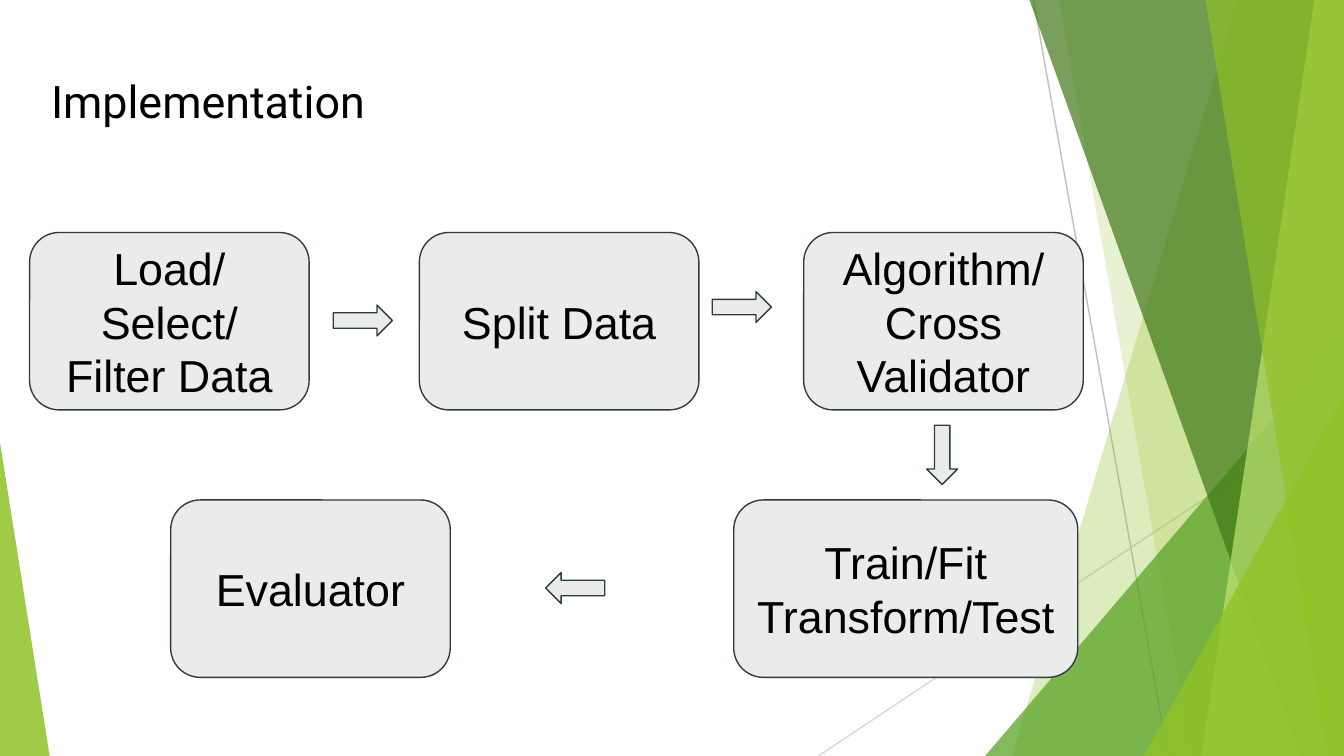
from dataclasses import dataclass

from lxml import etree
from pptx import Presentation
from pptx.dml.color import RGBColor
from pptx.enum.shapes import MSO_CONNECTOR, MSO_SHAPE
from pptx.enum.text import MSO_ANCHOR, PP_ALIGN
from pptx.oxml.ns import qn
from pptx.util import Inches, Pt

STRAIGHT = MSO_CONNECTOR.STRAIGHT
TRIANGLE = MSO_SHAPE.ISOSCELES_TRIANGLE
ROUNDED = MSO_SHAPE.ROUNDED_RECTANGLE
ARROW = MSO_SHAPE.RIGHT_ARROW
LEFT, CENTER = PP_ALIGN.LEFT, PP_ALIGN.CENTER
TOP, MIDDLE = MSO_ANCHOR.TOP, MSO_ANCHOR.MIDDLE


@dataclass(frozen=True)
class Theme:
    text: str = "000000"
    step: str = "EBEBEB"
    outline: str = "2C3C43"
    line_dark: str = "BFBFBF"
    line_light: str = "D8D8D8"
    lime: str = "90C226"
    pale: str = "BFE471"
    green: str = "54A021"
    forest: str = "3F7818"
    title_font: str = "Roboto"
    body_font: str = "Arial"
    size: int = 24
    line_width: float = 0.75
    inset: float = 0.1


THEME = Theme()
WIDTH = 10
HEIGHT = WIDTH * 9 / 16


def inches(*lengths):
    return [Inches(length) for length in lengths]


def paint(shape, color, alpha=None, outline=None):
    """Fill a shape, with optional opacity in percent and outline."""
    shape.shadow.inherit = False
    shape.fill.solid()
    shape.fill.fore_color.rgb = RGBColor.from_string(color)
    if alpha is not None:
        tint = shape._element.spPr.find(".//" + qn("a:srgbClr"))
        etree.SubElement(tint, qn("a:alpha")).set("val", str(alpha * 1000))
    if outline:
        shape.line.color.rgb = RGBColor.from_string(outline)
        shape.line.width = Pt(THEME.line_width)
    else:
        shape.line.fill.background()


def write(shape, text, font, align, anchor):
    frame = shape.text_frame
    frame.text = text
    frame.word_wrap = True
    frame.vertical_anchor = anchor
    frame.margin_left = frame.margin_right = Inches(THEME.inset)
    frame.margin_top = frame.margin_bottom = Inches(THEME.inset)
    for para in frame.paragraphs:
        para.alignment = align
        for span in para.runs:
            span.font.name = font
            span.font.size = Pt(THEME.size)
            span.font.color.rgb = RGBColor.from_string(THEME.text)


def add_line(page, start, end, color):
    line = page.shapes.add_connector(STRAIGHT, *inches(*start, *end))
    line.line.color.rgb = RGBColor.from_string(color)
    line.line.width = Pt(THEME.line_width)
    etree.SubElement(line._element.spPr, qn("a:effectLst"))


def add_facet(page, top_left, bottom_left, color, alpha):
    """A full-height panel from a slanted left edge to the slide's right edge."""
    corners = [(WIDTH, 0), (WIDTH, HEIGHT), (bottom_left, HEIGHT)]
    builder = page.shapes.build_freeform(Inches(top_left), 0)
    builder.add_line_segments([inches(*corner) for corner in corners])
    paint(builder.convert_to_shape(), color, alpha)


def add_corner(page, left, top, width, apex, color, alpha):
    """A right triangle standing on the bottom edge of the slide."""
    corner = page.shapes.add_shape(
        TRIANGLE, *inches(left, top, width, HEIGHT - top))
    corner.adjustments[0] = apex
    paint(corner, color, alpha)


def add_backdrop(page):
    add_line(page, (7.69, 0), (8.69, HEIGHT), THEME.line_dark)
    add_line(page, (WIDTH, 3.02), (6.09, HEIGHT), THEME.line_light)
    add_facet(page, 9.21, 7.53, THEME.lime, 30)
    add_facet(page, 7.88, 8.87, THEME.lime, 20)
    add_corner(page, 7.33, 2.5, 2.67, 1, THEME.green, 72)
    add_facet(page, 7.66, 9.68, THEME.forest, 70)
    add_facet(page, 9.78, 8.94, THEME.pale, 70)
    add_facet(page, 8.97, 9.88, THEME.lime, 65)
    add_corner(page, 8.51, 2.94, 1.49, 1, THEME.lime, 80)
    add_corner(page, 0, 3.29, 0.37, 0, THEME.lime, 85)


def add_title(page, text, left, top, width, height):
    title = page.shapes.title
    title.left, title.top, title.width, title.height = inches(
        left, top, width, height)
    write(title, text, THEME.title_font, LEFT, TOP)


def add_flow(page, left, top):
    """Process steps in two rows, with block arrows between them."""
    step_width, step_height, row_pitch = 2.08, 1.32, 1.99
    arrow_width, arrow_height = 0.44, 0.23
    # Text, horizontal offset, row, width
    steps = [
        ("Load/Select/Filter Data", 0, 0, step_width),
        ("Split Data", 2.9, 0, step_width),
        ("Algorithm/\nCross Validator", 5.76, 0, step_width),
        ("Train/Fit\nTransform/Test", 5.24, 1, 2.56),
        ("Evaluator", 1.05, 1, step_width),
    ]
    for text, across, row, width in steps:
        step = page.shapes.add_shape(ROUNDED, *inches(
            left + across, top + row * row_pitch, width, step_height))
        paint(step, THEME.step, outline=THEME.outline)
        write(step, text, THEME.body_font, CENTER, MIDDLE)

    # Horizontal offset, vertical offset, rotation
    arrows = [(2.26, 0.54, 0), (5.08, 0.44, 0), (6.57, 1.54, 90), (3.84, 2.53, 180)]
    for across, down, rotation in arrows:
        arrow = page.shapes.add_shape(ARROW, *inches(
            left + across, top + down, arrow_width, arrow_height))
        arrow.rotation = rotation
        paint(arrow, THEME.step, outline=THEME.outline)


def main():
    deck = Presentation()
    deck.slide_width, deck.slide_height = inches(WIDTH, HEIGHT)
    page = deck.slides.add_slide(deck.slide_layouts.get_by_name("Title Only"))
    add_backdrop(page)
    add_title(page, "Implementation", 0.28, 0.45, 2.75, 0.61)
    add_flow(page, 0.22, 1.73)
    deck.save("out.pptx")


if __name__ == "__main__":
    main()
